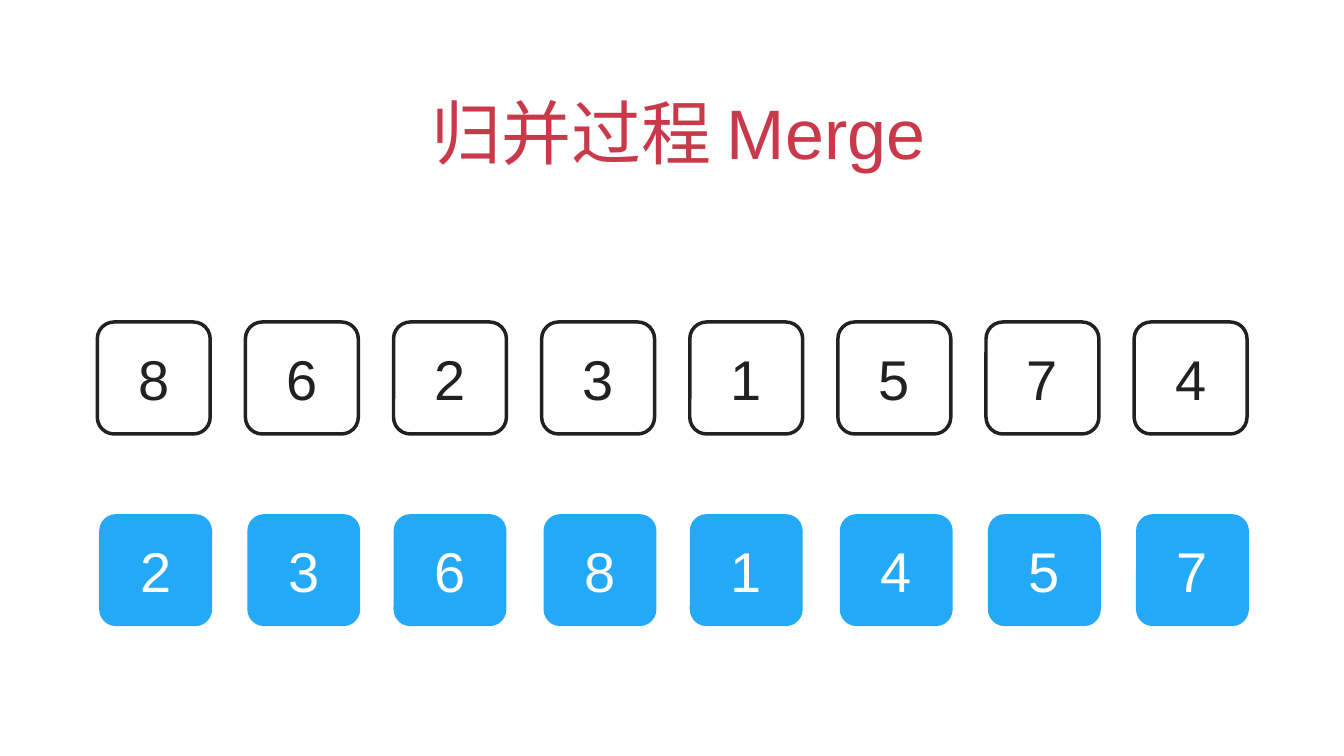
from dataclasses import dataclass
from typing import Optional

from pptx import Presentation
from pptx.dml.color import RGBColor
from pptx.enum.shapes import MSO_SHAPE as Shape
from pptx.enum.text import MSO_ANCHOR as Anchor, MSO_AUTO_SIZE as AutoSize, PP_ALIGN as Align
from pptx.util import Pt

COLORS = {"title": "C9394A", "ink": "212121", "blue": "23A9F6", "white": "FFFFFF"}
FONT = "Arial"
INSET = 4
CELL_WIDTH, CELL_HEIGHT = 161.3, 160
ROW_LEFT, PITCH = 139, 211.6


@dataclass
class NumberRow:
    values: list[int]
    top: float
    shifts: list[float]
    text_color: str
    fill: Optional[str] = None
    line: Optional[str] = None


ROWS = [
    NumberRow([8, 6, 2, 3, 1, 5, 7, 4], 460, [0] * 8, "ink", line="ink"),
    NumberRow([2, 3, 6, 8, 1, 4, 5, 7], 734.5, [2.7, 2.7, 0, 2.7, 0, 2.7, 2.7, 2.7],
              "white", fill="blue"),
]


def rgb(name: str) -> RGBColor:
    return RGBColor.from_string(COLORS[name])


def set_text(shape, text: str, size: float, color: str, anchor: Anchor):
    frame = shape.text_frame
    frame.text = text
    frame.word_wrap = True
    frame.auto_size = AutoSize.NONE
    frame.vertical_anchor = anchor
    frame.margin_left = frame.margin_right = Pt(INSET)
    frame.margin_top = frame.margin_bottom = Pt(INSET)
    para = frame.paragraphs[0]
    para.alignment = Align.CENTER
    font = para.runs[0].font
    font.name, font.size = FONT, Pt(size)
    font.color.rgb = rgb(color)
    return para


def draw_row(page, row: NumberRow) -> None:
    for column, (value, shift) in enumerate(zip(row.values, row.shifts)):
        left = ROW_LEFT + column * PITCH + shift
        cell = page.shapes.add_shape(Shape.ROUNDED_RECTANGLE, Pt(left), Pt(row.top),
                                     Pt(CELL_WIDTH), Pt(CELL_HEIGHT))
        cell.adjustments[0] = 0.15
        cell.shadow.inherit = False
        if row.fill:
            cell.fill.solid()
            cell.fill.fore_color.rgb = rgb(row.fill)
        else:
            cell.fill.background()
        if row.line:
            cell.line.color.rgb = rgb(row.line)
            cell.line.width = Pt(5)
        else:
            cell.line.fill.background()
        set_text(cell, str(value), 80, row.text_color, Anchor.MIDDLE)


def main() -> None:
    deck = Presentation()
    deck.slide_width, deck.slide_height = Pt(1920), Pt(1080)
    page = deck.slides.add_slide(deck.slide_layouts[5])

    # Title, with a small first-line indent
    title = page.shapes.title
    title.left, title.top, title.width, title.height = Pt(140), Pt(91.5), Pt(1640), Pt(160)
    para = set_text(title, "归并过程 Merge", 100, "title", Anchor.BOTTOM)
    para._p.get_or_add_pPr().set("indent", str(Pt(18)))

    # Unsorted numbers above, sorted halves below
    for row in ROWS:
        draw_row(page, row)

    deck.save("out.pptx")


if __name__ == "__main__":
    main()
